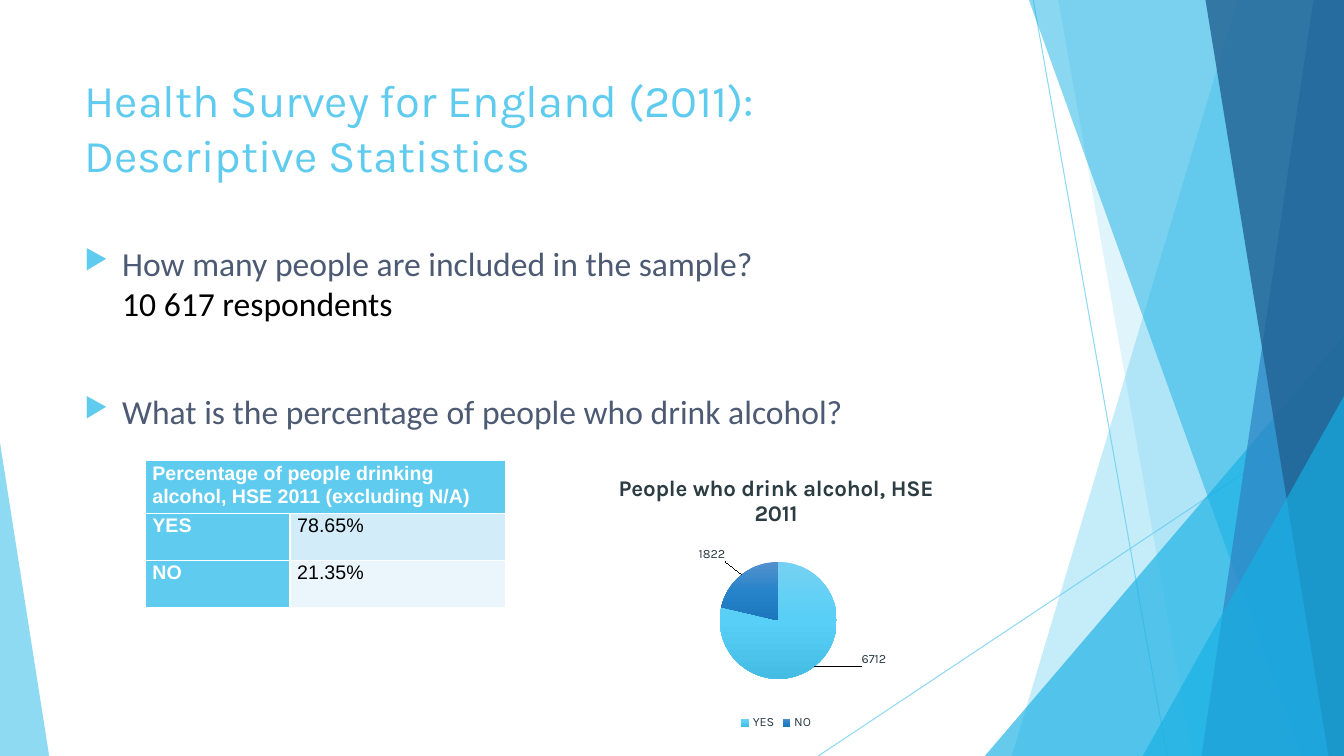
"""Build the Health Survey for England descriptive statistics slide."""
from copy import deepcopy

from lxml import etree
from pptx import Presentation
from pptx import util as u
from pptx.chart import data as chart_data
from pptx.dml.color import RGBColor
from pptx.enum import chart as chart_enum
from pptx.enum import shapes, text
from pptx.oxml import parse_xml
from pptx.oxml.ns import nsdecls, qn

SKY = RGBColor(0x5F, 0xCB, 0xEF)
CYAN = RGBColor(0x17, 0xB0, 0xE4)
BLUE = RGBColor(0x2E, 0x83, 0xC3)
NAVY = RGBColor(0x22, 0x62, 0x92)
SLATE = RGBColor(0x4C, 0x5A, 0x73)
CHARCOAL = RGBColor(0x2C, 0x3C, 0x43)
BLACK = RGBColor(0, 0, 0)
WHITE = RGBColor(0xFF, 0xFF, 0xFF)
PALE = RGBColor(0xD2, 0xEC, 0xF9)
PALER = RGBColor(0xEA, 0xF6, 0xFC)
YES_GRADIENT = [RGBColor(0x75, 0xD1, 0xF3), RGBColor(0x58, 0xCF, 0xF6), RGBColor(0x45, 0xBC, 0xE3)]
NO_GRADIENT = [RGBColor(0x54, 0x91, 0xCD), RGBColor(0x27, 0x84, 0xCA), RGBColor(0x1C, 0x76, 0xBB)]

WIDTH, HEIGHT = 33.87, 19.05


def set_alpha(color_parent, percent):
    """Make the solid colour inside an element partly transparent."""
    color = next(color_parent.iter(qn("a:srgbClr")))
    etree.SubElement(color, qn("a:alpha")).set("val", str(percent * 1000))


def style_facet(shape, color, percent):
    """Give a facet a translucent fill without outline or shadow."""
    shape.shadow.inherit = False
    shape.fill.solid()
    shape.fill.fore_color.rgb = color
    set_alpha(shape.fill._xPr, percent)
    shape.line.fill.background()


def add_line(slide, start, end):
    """Draw one thin translucent line."""
    line = slide.shapes.add_connector(
        shapes.MSO_CONNECTOR.STRAIGHT, *(u.Cm(value) for value in start + end))
    line.line.color.rgb = SKY
    line.line.width = u.Pt(0.75)
    properties = line._element.spPr
    set_alpha(properties, 70)
    etree.SubElement(properties, qn("a:effectLst"))


def add_panel(slide, top_left, bottom_left, color, percent):
    """Draw a panel with a slanted left side that reaches the right slide edge."""
    corners = [(WIDTH, 0), (WIDTH, HEIGHT), (bottom_left, HEIGHT)]
    builder = slide.shapes.build_freeform(u.Cm(top_left), 0)
    builder.add_line_segments([(u.Cm(x), u.Cm(y)) for x, y in corners], close=True)
    style_facet(builder.convert_to_shape(), color, percent)


def add_wedge(slide, left, width, height, apex, color, percent):
    """Draw a right-angled triangle that stands on the bottom slide edge."""
    wedge = slide.shapes.add_shape(
        shapes.MSO_SHAPE.ISOSCELES_TRIANGLE,
        u.Cm(left), u.Cm(HEIGHT - height), u.Cm(width), u.Cm(height))
    wedge.adjustments[0] = apex
    style_facet(wedge, color, percent)


def add_facets(slide):
    """Draw the decoration along both slide edges from back to front."""
    add_line(slide, (26.04, 0), (29.41, HEIGHT))
    add_line(slide, (WIDTH, 10.24), (20.62, HEIGHT))
    add_panel(slide, 31.19, 25.5, SKY, 36)
    add_panel(slide, 26.67, 30.05, SKY, 20)
    add_wedge(slide, 24.82, 9.05, 10.59, 1, CYAN, 66)
    add_panel(slide, 25.93, 32.79, CYAN, 50)
    add_panel(slide, 33.1, 30.28, BLUE, 70)
    add_panel(slide, 30.38, 33.48, NAVY, 80)
    add_wedge(slide, 28.8, 5.07, 9.07, 1, CYAN, 66)
    add_wedge(slide, 0, 1.24, 7.9, 0, SKY, 70)


def add_run(paragraph, words, font_name, size, color, bold=False):
    """Append one formatted run."""
    run = paragraph.add_run()
    run.text = words
    run.font.name = font_name
    run.font.size = u.Pt(size)
    run.font.color.rgb = color
    run.font.bold = bold


def add_text_frame(slide, box):
    """Add a wrapping text box and return its text frame."""
    frame = slide.shapes.add_textbox(*(u.Cm(value) for value in box)).text_frame
    frame.word_wrap = True
    frame.vertical_anchor = text.MSO_ANCHOR.TOP
    return frame


def add_title(slide, box):
    """Write the two-line slide title."""
    paragraph = add_text_frame(slide, box).paragraphs[0]
    add_run(paragraph, "Health Survey for England (2011):", "Karla", 32.4, SKY)
    paragraph.add_line_break()
    add_run(paragraph, "Descriptive Statistics", "Karla", 32.4, SKY)


def add_bullet(paragraph):
    """Give a paragraph a hanging triangle bullet."""
    properties = paragraph._p.get_or_add_pPr()
    properties.set("marL", str(u.Cm(0.95)))
    properties.set("indent", str(u.Cm(-0.95)))
    for markup in (f'<a:buClr {nsdecls("a")}><a:srgbClr val="{SKY}"/></a:buClr>',
                   f'<a:buSzPct {nsdecls("a")} val="80000"/>',
                   f'<a:buChar {nsdecls("a")} char="▶"/>'):
        properties.append(parse_xml(markup))


def add_questions(slide, box):
    """Write the two questions and the answer to the first."""
    frame = add_text_frame(slide, box)
    sample, drinkers = frame.paragraphs[0], frame.add_paragraph()
    for paragraph in (sample, drinkers):
        add_bullet(paragraph)
    add_run(sample, "How many people are included in the sample?", "Calibri", 24, SLATE)
    sample.add_line_break()
    add_run(sample, "10 617 respondents", "Calibri", 24, BLACK)
    drinkers.space_before = u.Pt(48)
    add_run(drinkers, "What is the percentage of people who drink alcohol?", "Calibri", 24, SLATE)


def fill_cell(cell, words, fill, color, bold):
    """Fill one table cell and write its text."""
    cell.fill.solid()
    cell.fill.fore_color.rgb = fill
    cell.margin_left = cell.margin_right = u.Cm(0.18)
    cell.margin_top = cell.margin_bottom = 0
    paragraph = cell.text_frame.paragraphs[0]
    paragraph.line_spacing = 1.07
    paragraph.space_after = u.Pt(8)
    add_run(paragraph, words, "Arial", 14, color, bold)


def add_percentages(slide, box):
    """Add the table of drinking percentages."""
    table = slide.shapes.add_table(3, 2, *(u.Cm(value) for value in box)).table
    for column, width in zip(table.columns, (3.65, 5.44)):
        column.width = u.Cm(width)
    for row, height in zip(table.rows, (1.32, 1.19, 1.19)):
        row.height = u.Cm(height)
    table.cell(0, 0).merge(table.cell(0, 1))
    fill_cell(table.cell(0, 0), "Percentage of people drinking alcohol, HSE 2011 (excluding N/A)",
              SKY, WHITE, True)
    answers = [("YES", "78.65%", PALE), ("NO", "21.35%", PALER)]
    for row, (answer, share, fill) in enumerate(answers, 1):
        fill_cell(table.cell(row, 0), answer, SKY, WHITE, True)
        fill_cell(table.cell(row, 1), share, fill, BLACK, False)


def layout_xml(**places):
    """Return a manual chart layout element."""
    parts = "".join(f'<c:{name} val="{value}"/>' for name, value in places.items())
    return parse_xml(f'<c:layout {nsdecls("c")}><c:manualLayout>{parts}</c:manualLayout></c:layout>')


def style_slice(point, colors, label_offset):
    """Give a slice its vertical gradient and shift its value label."""
    fill = point.format.fill
    fill.gradient()
    fill.gradient_angle = 270
    stops = fill.gradient_stops
    stops[0]._gs.addnext(deepcopy(stops[0]._gs))
    for stop, color, position in zip(fill.gradient_stops, colors, (0, 0.5, 1)):
        stop.color.rgb = color
        stop.position = position
    point.data_label.position = chart_enum.XL_LABEL_POSITION.BEST_FIT
    label = point.data_label._dLbl
    label.find(qn("c:idx")).addnext(layout_xml(x=label_offset[0], y=label_offset[1]))


def add_drinkers_chart(slide, box):
    """Add the pie chart of people who drink alcohol."""
    data = chart_data.CategoryChartData()
    data.categories = ["YES", "NO"]
    data.add_series("Series 1", (6712, 1822))
    chart = slide.shapes.add_chart(
        chart_enum.XL_CHART_TYPE.PIE, *(u.Cm(value) for value in box), data).chart
    chart.font.name, chart.font.size = "Karla", u.Pt(9)
    chart.font.color.rgb = CHARCOAL
    title = chart.chart_title.text_frame
    add_run(title.paragraphs[0], "People who drink alcohol, HSE", "Karla", 16, CHARCOAL, True)
    add_run(title.add_paragraph(), "2011", "Karla", 16, CHARCOAL, True)
    chart.has_legend = True
    chart.legend.position = chart_enum.XL_LEGEND_POSITION.BOTTOM
    chart.legend.include_in_layout = False
    plot = chart.plots[0]
    plot.vary_by_categories = True
    series = plot.series[0]
    series.data_labels.show_value = True
    series.data_labels.position = chart_enum.XL_LABEL_POSITION.BEST_FIT
    style_slice(series.points[0], YES_GRADIENT, (0.1, -0.07))
    style_slice(series.points[1], NO_GRADIENT, (-0.03, -0.03))
    series.data_labels._element.find(qn("c:showLeaderLines")).set("val", "1")
    plot_area = chart._chartSpace.chart.plotArea
    for layout in plot_area.findall(qn("c:layout")):
        plot_area.remove(layout)
    plot_area.insert(0, layout_xml(layoutTarget="inner", xMode="edge", yMode="edge",
                                   x=0.37, y=0.37, w=0.27, h=0.43))


def main():
    """Build the slide and save it."""
    presentation = Presentation()
    presentation.slide_width, presentation.slide_height = u.Cm(WIDTH), u.Cm(HEIGHT)
    slide = presentation.slides.add_slide(presentation.slide_layouts[6])
    add_facets(slide)
    add_title(slide, (1.88, 1.7, 23.88, 3.66))
    add_questions(slide, (1.88, 5.99, 23.88, 10.77))
    add_drinkers_chart(slide, (14.1, 11.61, 10.92, 6.88))
    add_percentages(slide, (3.66, 11.61, 9.09, 3.7))
    presentation.save("out.pptx")


if __name__ == "__main__":
    main()
